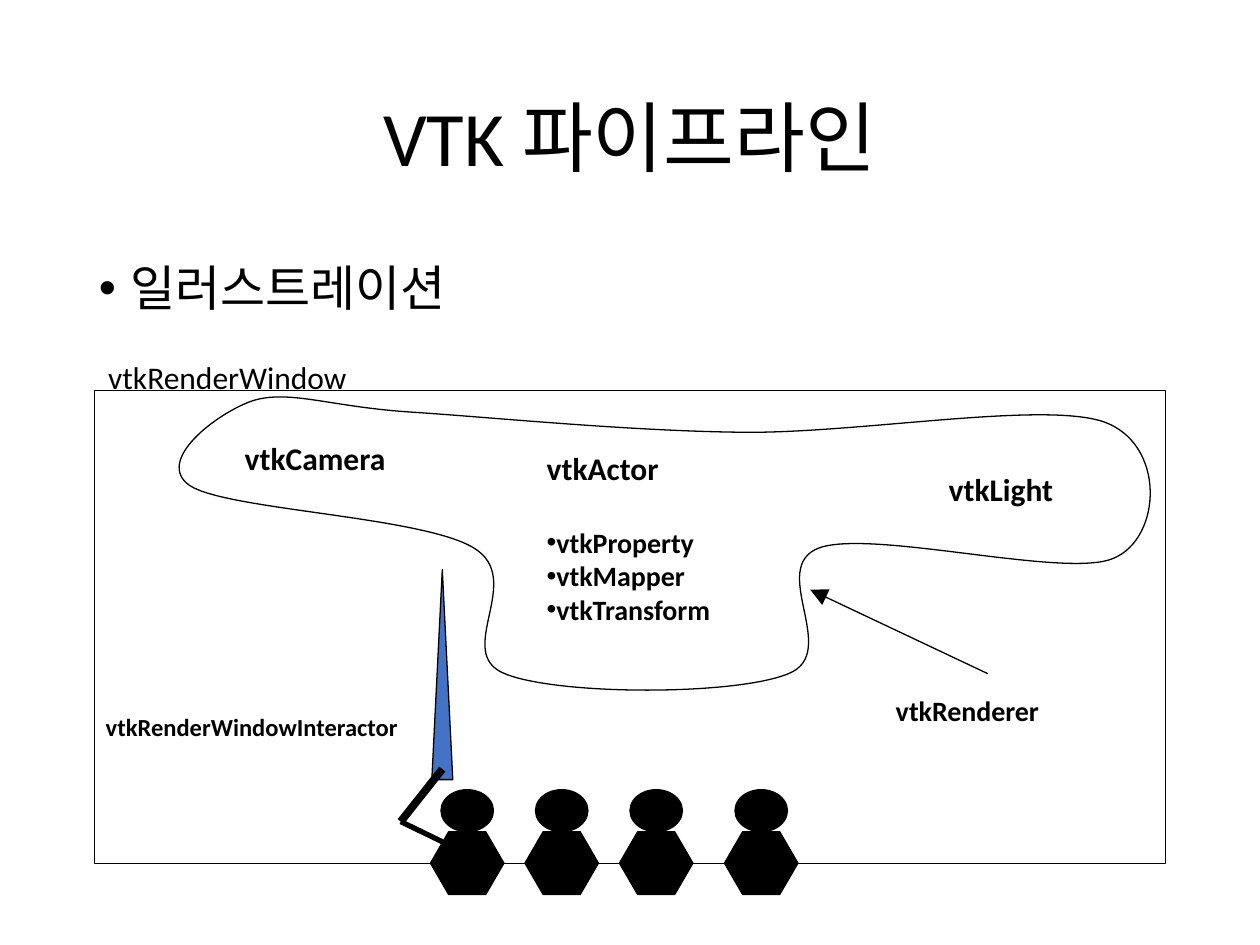
import pptx
import pptx.util
import pptx.dml.color
import pptx.enum.shapes
import pptx.enum.text
import pptx.oxml
import pptx.oxml.ns

Pt = pptx.util.Pt
SHAPES = pptx.enum.shapes.MSO_SHAPE
ANCHORS = pptx.enum.text.MSO_ANCHOR
ALIGNMENTS = pptx.enum.text.PP_ALIGN
NAMESPACE = pptx.oxml.ns.nsdecls("a")
BLACK, BLUE = "000000", "4472C4"
color = pptx.dml.color.RGBColor.from_string


def paint(shape, fill=None):
    shape.shadow.inherit = False
    if fill:
        shape.fill.solid()
        shape.fill.fore_color.rgb = color(fill)
    else:
        shape.fill.background()
    shape.line.color.rgb = color(BLACK)
    shape.line.width = Pt(0.75)


def write(box, lines):
    """Add a text box; each line is (text, font values, paragraph values, bulleted)."""
    frame = slide.shapes.add_textbox(*map(Pt, box)).text_frame
    frame.word_wrap = True
    for number, (text, font_values, paragraph_values, bulleted) in enumerate(lines):
        paragraph = frame.add_paragraph() if number else frame.paragraphs[0]
        run = paragraph.add_run()
        run.text = text
        run.font.color.rgb = color(BLACK)
        for name, value in {"name": "Calibri", **font_values}.items():
            setattr(run.font, name, value)
        for name, value in paragraph_values.items():
            setattr(paragraph, name, value)
        if bulleted:
            for tag in ('buFont typeface="Arial"', 'buChar char="•"'):
                paragraph._p.get_or_add_pPr().append(
                    pptx.oxml.parse_xml(f"<a:{tag} {NAMESPACE}/>"))
    return frame


presentation = pptx.Presentation()
presentation.slide_width, presentation.slide_height = Pt(720), Pt(540)
slide = presentation.slides.add_slide(presentation.slide_layouts[6])

# Heading and topic
title = write((49.5, 28.75, 621, 104.4), [
    ("VTK 파이프라인", {"size": Pt(44)},
     {"alignment": ALIGNMENTS.CENTER, "line_spacing": 0.9}, False)])
title.vertical_anchor = ANCHORS.MIDDLE
topic = write((49.5, 143.75, 621, 342.6), [
    ("일러스트레이션", {"size": Pt(28)}, {"space_before": Pt(10)}, True)])
for name, indent in {"marL": 18, "indent": -18}.items():
    topic.paragraphs[0]._p.pPr.set(name, str(Pt(indent)))

# Class names
class_labels = [
    ("vtkRenderWindow", 18, False, (54.75, 201, 206.6, 36)),
    ("vtkCamera", 18, True, (132.75, 247.25, 112.3, 29)),
    ("vtkLight", 18, True, (535, 265, 89.3, 29)),
    ("vtkRenderer", 16, True, (504.75, 393, 114.5, 26.6)),
    ("vtkRenderWindowInteractor", 14, True, (53.25, 403.25, 217.4, 24)),
]
for text, size, bold, box in class_labels:
    write(box, [(text, {"size": Pt(size), "bold": bold}, {}, False)])

actor_part = {"size": Pt(16), "bold": True}
write((305.25, 253, 130.3, 108), [
    ("vtkActor", {"size": Pt(18), "bold": True}, {}, False),
    ("vtkProperty", actor_part, {"space_before": Pt(22)}, True),
    ("vtkMapper", actor_part, {}, True),
    ("vtkTransform", actor_part, {}, True),
])

# Outline of the rendered scene: two control points and an end point per curve
start = (144.5, 229)
scene_curves = [
    ((124, 236), (88, 263.5), (108.5, 277.5)),
    ((129.5, 291.5), (240.5, 295), (270.5, 313)),
    ((301, 331), (258.5, 373), (288.5, 385)),
    ((319, 397.5), (420.5, 397.5), (450.5, 385)),
    ((481, 373), (438, 324), (468.5, 313)),
    ((499.5, 302.5), (610, 331), (636.5, 319)),
    ((664, 307.5), (666.5, 253.5), (630.5, 241)),
    ((594.5, 229), (486.5, 248.5), (420.5, 247)),
    ((355, 246), (281, 238.5), (234.5, 235.5)),
    ((188.5, 232.5), (165.5, 222.5), start),
]
builder = slide.shapes.build_freeform(*map(Pt, start))
builder.add_line_segments(
    [tuple(map(Pt, point)) for curve in scene_curves for point in curve], close=True)
scene = builder.convert_to_shape()
paint(scene)
# Turn every three straight segments into one cubic curve
segments = scene._element.xpath(".//a:lnTo")
for first in range(0, len(segments), 3):
    curve = pptx.oxml.parse_xml(f"<a:cubicBezTo {NAMESPACE}/>")
    segments[first].addprevious(curve)
    for segment in segments[first:first + 3]:
        curve.append(segment[0])
        segment.getparent().remove(segment)

pointer = slide.shapes.add_shape(
    SHAPES.ISOSCELES_TRIANGLE, Pt(246.75), Pt(325.5), Pt(12), Pt(120))
paint(pointer, BLUE)

# Renderer arrow, then the forearm and upper arm holding the pointer
strokes = [
    ((564.5, 385), (463, 337), 0.75, True),
    ((252.75, 481), (229, 469.5), 3, False),
    ((229, 469.5), (252.75, 439.5), 4.5, False),
]
for begin, end, weight, has_head in strokes:
    stroke = slide.shapes.add_connector(
        pptx.enum.shapes.MSO_CONNECTOR.STRAIGHT, *map(Pt, begin + end))
    stroke.line.color.rgb = color(BLACK)
    stroke.line.width = Pt(weight)
    if has_head:
        stroke.line._get_or_add_ln().append(pptx.oxml.parse_xml(
            f'<a:tailEnd {NAMESPACE} type="triangle" w="lg" len="lg"/>'))
    stroke._element.spPr.append(pptx.oxml.parse_xml(f"<a:effectLst {NAMESPACE}/>"))

# Render window with its audience
window = slide.shapes.add_shape(SHAPES.RECTANGLE, Pt(54), Pt(223.25), Pt(612), Pt(270))
paint(window)
for left in (246, 300, 354, 414):
    head = slide.shapes.add_shape(SHAPES.OVAL, Pt(left + 6), Pt(451.25), Pt(30), Pt(24))
    body = slide.shapes.add_shape(SHAPES.HEXAGON, Pt(left), Pt(475.25), Pt(42), Pt(36))
    body.adjustments[0] = 0.29
    for part in (head, body):
        paint(part, BLACK)

presentation.save("out.pptx")
